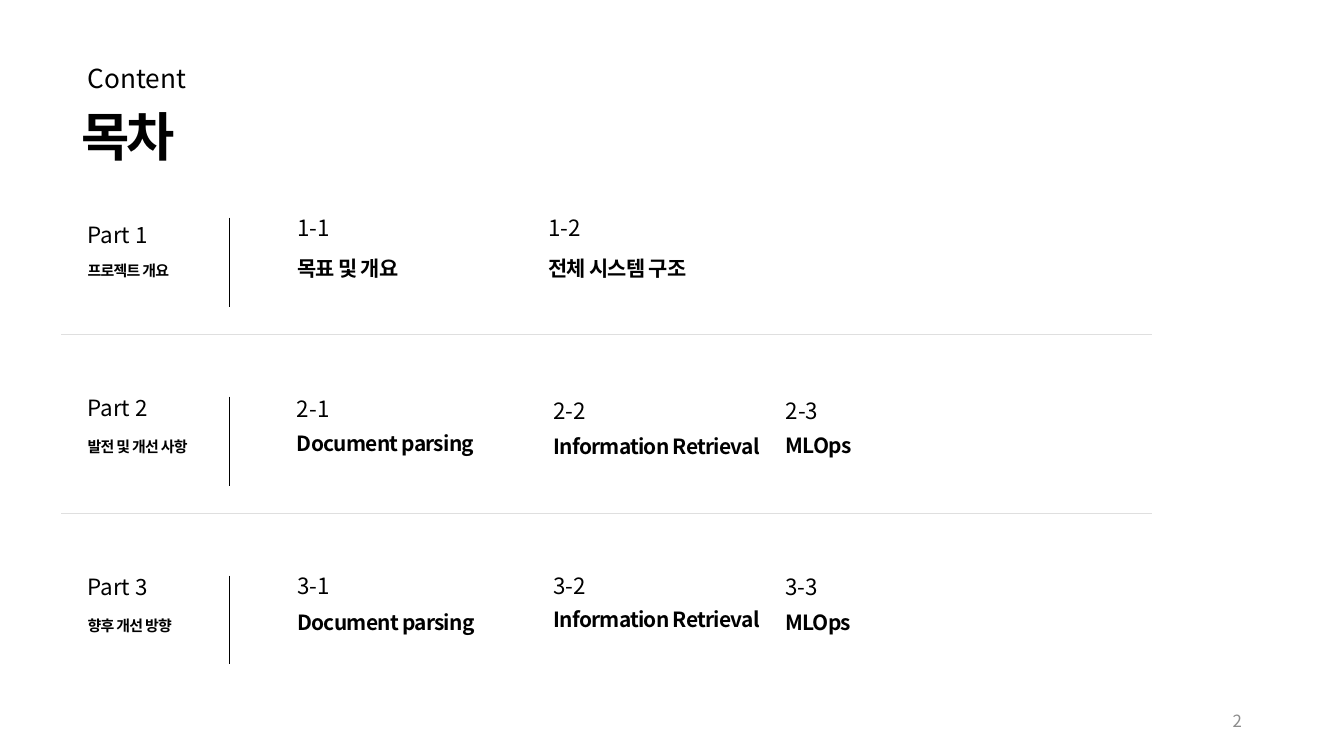
import pptx
import pptx.util
import pptx.dml.color
import pptx.enum.shapes
import pptx.enum.text
import pptx.oxml
import pptx.oxml.ns

Pt = pptx.util.Pt
FONT = "Noto Sans CJK KR"
BLACK, RULE, GRAY = "000000", "DFDFDF", "8C8C8C"
LEFT, TOP, WIDTH, PITCH = 43.92, 155.5, 779, 127.8
NUMBER = dict(size=16, leading=22.4)
TITLE = dict(size=14.9, leading=20.9, bold=True, spacing=-0.5)
PART_NAME = dict(TITLE, size=10.7)

# Each item: number, title, x, number y, title y, number width, title width.
PARTS = [
    ("Part 1", "프로젝트 개요", -0.7, 23.1, 75, [
        ("1-1", "목표 및 개요", 168.5, -5.8, 23.8, 52, 155),
        ("1-2", "전체 시스템 구조", 347.8, -5.8, 23.8, 52, 116),
    ]),
    ("Part 2", "발전 및 개선 사항", -5, 20.9, 89, [
        ("2-1", "Document parsing", 168.2, -4.1, 21.2, 75, 155),
        ("2-2", "Information Retrieval", 351.4, -2.7, 23.3, 52, 148),
        ("2-3", "MLOps", 517.3, -2.7, 22.6, 52, 147),
    ]),
    ("Part 3", "향후 개선 방향", -5, 20.9, 75, [
        ("3-1", "Document parsing", 168.5, -5.7, 21.6, 75, 155),
        ("3-2", "Information Retrieval", 351.4, -5.7, 19.5, 52, 148),
        ("3-3", "MLOps", 517, -5, 21.6, 52, 195),
    ]),
]


def rgb(color):
    """Return the colour for a hex string."""
    return pptx.dml.color.RGBColor.from_string(color)


def add_text(s, text, x, y, w, h, size, leading=None, color=BLACK, bold=False,
             spacing=0, inset=(0, 0), align="LEFT", anchor="TOP", grow=True):
    """Add a one-paragraph text box."""
    sp = s.shapes.add_textbox(Pt(x), Pt(y), Pt(w), Pt(h))
    tf = sp.text_frame
    tf.word_wrap = True
    if grow:
        tf.auto_size = pptx.enum.text.MSO_AUTO_SIZE.SHAPE_TO_FIT_TEXT
    tf.margin_left = tf.margin_right = Pt(inset[0])
    tf.margin_top = tf.margin_bottom = Pt(inset[1])
    tf.vertical_anchor = pptx.enum.text.MSO_ANCHOR[anchor]
    p = tf.paragraphs[0]
    p.alignment = pptx.enum.text.PP_ALIGN[align]
    if leading:
        p.line_spacing = Pt(leading)
    r = p.add_run()
    r.text = text
    r.font.size, r.font.bold, r.font.name = Pt(size), bold, FONT
    r.font.color.rgb = rgb(color)
    rpr = r.font._element
    if spacing:
        rpr.set("spc", str(round(spacing * 100)))
    ea = pptx.oxml.parse_xml(f'<a:ea {pptx.oxml.ns.nsdecls("a")} typeface="{FONT}"/>')
    rpr.find(pptx.oxml.ns.qn("a:latin")).addnext(ea)


def add_line(s, x1, y1, x2, y2, color):
    """Add a thin straight line without a shadow."""
    kind = pptx.enum.shapes.MSO_CONNECTOR.STRAIGHT
    line = s.shapes.add_connector(kind, Pt(x1), Pt(y1), Pt(x2), Pt(y2))
    line.line.width = Pt(0.75)
    line.line.color.rgb = rgb(color)
    effects = pptx.oxml.parse_xml(f'<a:effectLst {pptx.oxml.ns.nsdecls("a")}/>')
    line._element.spPr.append(effects)


def add_header(s, x, y):
    """Add the small heading and the slide title."""
    add_text(s, "Content", x + 4.3, y, 196, 24.5, size=18.7, leading=26.2)
    add_text(s, "목차", x, y + 38.9, 363, 39.6, size=37.5, leading=39.4,
             bold=True, spacing=-2.5)


def add_part(s, part, x, y):
    """Add one part label with its divider and numbered items."""
    label, name, label_y, name_y, name_w, items = part
    add_text(s, label, x + 18.7, y + label_y, 57, 21, **NUMBER)
    add_text(s, name, x + 18.7, y + name_y, name_w, 18.7, **PART_NAME)
    add_line(s, x + 120, y, x + 120, y + 63.5, BLACK)
    for number, title, item_x, number_y, title_y, number_w, title_w in items:
        add_text(s, number, x + item_x, y + number_y, number_w, 21, **NUMBER)
        add_text(s, title, x + item_x, y + title_y, title_w, 19.4, **TITLE)


def add_contents_slide(prs):
    """Build the table of contents slide."""
    s = prs.slides.add_slide(prs.slide_layouts[6])
    add_header(s, 58.3, 41)
    for i, part in enumerate(PARTS):
        y = TOP + i * PITCH
        add_part(s, part, LEFT, y)
        if i < len(PARTS) - 1:
            add_line(s, LEFT, y + 83.5, LEFT + WIDTH, y + 83.5, RULE)
    add_text(s, "2", 678.2, 500.4, 216, 28.8, size=12, color=GRAY,
             inset=(7.2, 3.6), align="RIGHT", anchor="MIDDLE", grow=False)


def main():
    """Create and save the presentation."""
    prs = pptx.Presentation()
    prs.slide_width, prs.slide_height = Pt(960), Pt(540)
    add_contents_slide(prs)
    prs.save("out.pptx")


if __name__ == "__main__":
    main()
